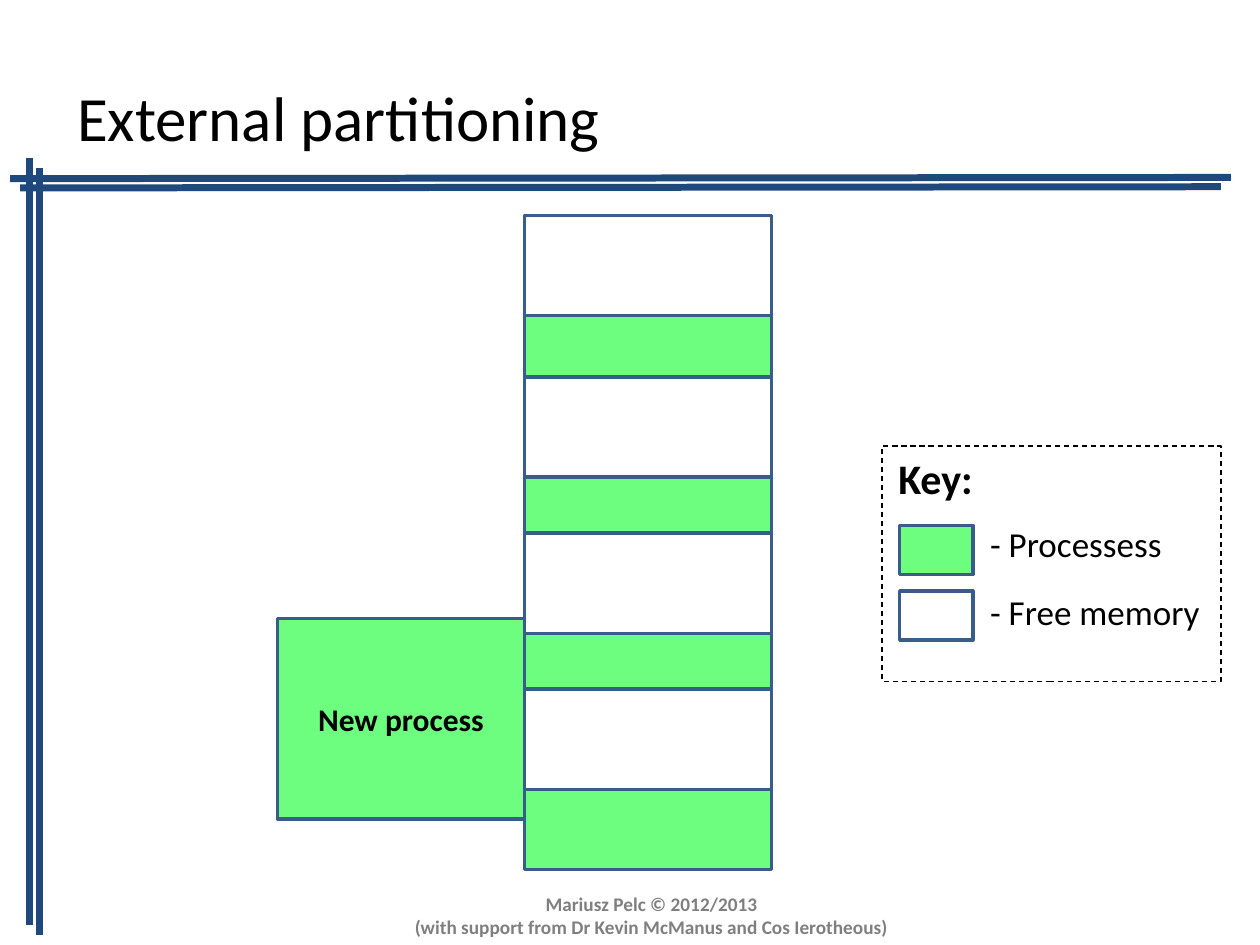
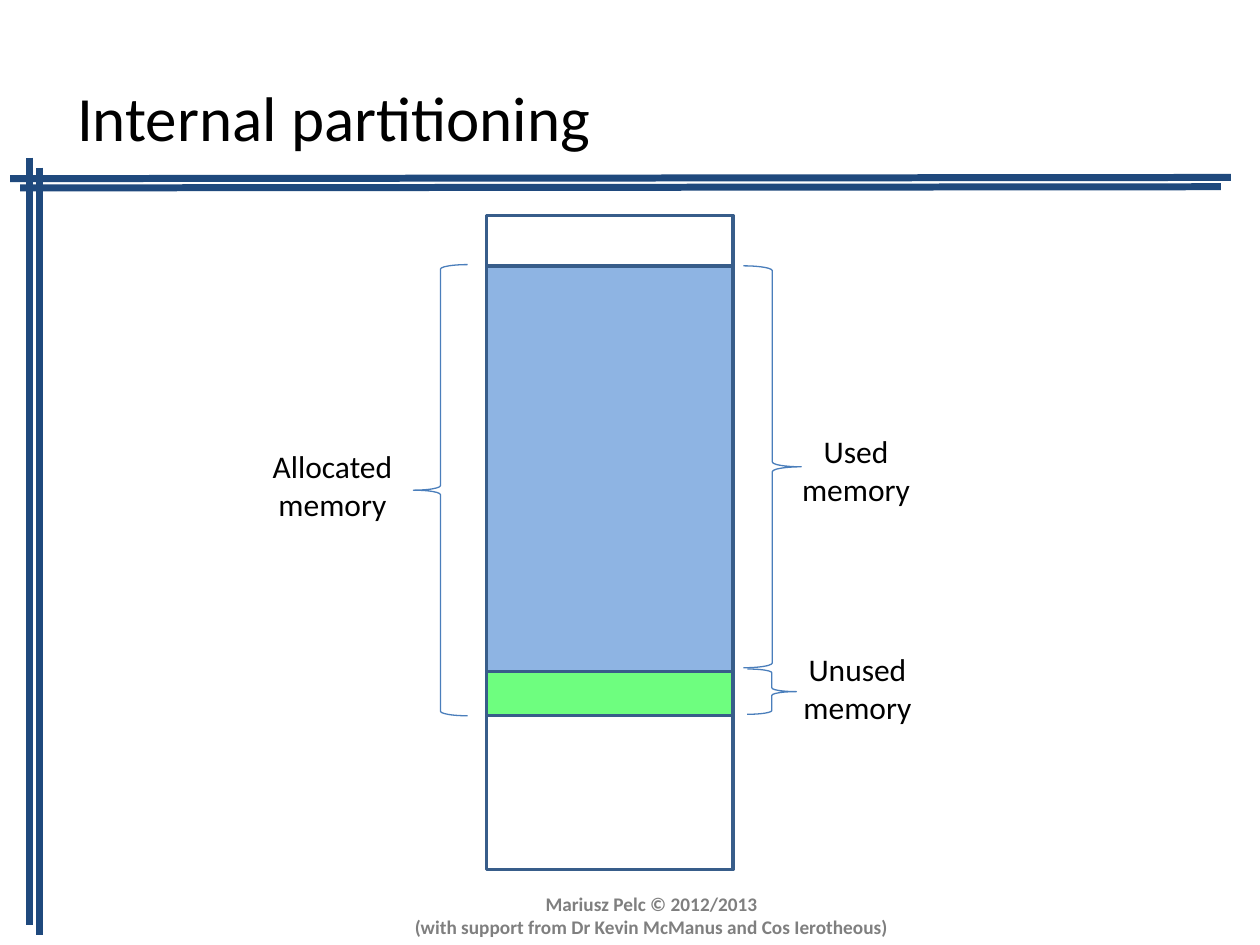
from dataclasses import dataclass

from lxml import etree
from pptx import Presentation
from pptx.dml.color import RGBColor
from pptx.enum.dml import MSO_LINE_DASH_STYLE as Dash
from pptx.enum.shapes import MSO_CONNECTOR as Connector, MSO_SHAPE as Shape
from pptx.enum.text import MSO_ANCHOR as Anchor, PP_ALIGN as Align
from pptx.oxml.ns import qn
from pptx.util import Pt


@dataclass(frozen=True)
class Theme:
    font: str = "Calibri"
    text: str = "000000"
    footer: str = "7F7F7F"
    rule: str = "1F497D"
    outline: str = "385D8A"
    brace: str = "4A7EBB"
    process: str = "6EFE7F"
    free: str = "FFFFFF"
    used: str = "8EB4E3"
    title_size: int = 36
    heading_size: int = 24
    key_size: int = 20
    body_size: int = 18
    footer_size: int = 11
    rule_width: float = 4
    outline_width: float = 2
    thin_width: float = 0.75


THEME = Theme()
COLUMN_TOP, COLUMN_WIDTH, COLUMN_HEIGHT = 123.1, 141.1, 373.7
FOOTER = "Mariusz Pelc © 2012/2013\n(with support from Dr Kevin McManus and Cos Ierotheous)"


def write(frame, text, size=THEME.body_size, color=THEME.text, bold=False,
          align=Align.LEFT, anchor=Anchor.TOP, wrap=False):
    """Fill a text frame, one paragraph per line of text."""
    frame.text = text
    frame.word_wrap = wrap
    frame.vertical_anchor = anchor
    for paragraph in frame.paragraphs:
        paragraph.alignment = align
        font = paragraph.font
        font.name, font.size, font.bold = THEME.font, Pt(size), bold
        font.color.rgb = RGBColor.from_string(color)


class SlideBuilder:
    def __init__(self, presentation, theme):
        self.presentation, self.theme = presentation, theme
        self.slide = None

    def start(self, title):
        """Add a slide with its title, crossed rules and footer."""
        theme = self.theme
        self.slide = self.presentation.slides.add_slide(self.presentation.slide_layouts[6])
        self.text(37, 21.6, 551.5, 90, title, size=theme.title_size,
                  anchor=Anchor.MIDDLE, wrap=True)
        for shift in (0, 5.75):
            self.rule(16.6 + shift, 90 + shift, 16.6 + shift, 528.5 + shift)
        for inset, drop in ((0, 0), (5.75, 5.3)):
            self.rule(5.8 + inset, 102.1 + drop, 703.4 - inset, 101.4 + drop)
        self.text(222.3, 506.2, 300, 33.8, FOOTER, size=theme.footer_size,
                  color=theme.footer, bold=True, align=Align.CENTER)

    def text(self, left, top, width, height, text, **text_format):
        box = self.slide.shapes.add_textbox(Pt(left), Pt(top), Pt(width), Pt(height))
        write(box.text_frame, text, **text_format)

    def rule(self, x1, y1, x2, y2):
        line = self.slide.shapes.add_connector(
            Connector.STRAIGHT, Pt(x1), Pt(y1), Pt(x2), Pt(y2))
        line.line.color.rgb = RGBColor.from_string(self.theme.rule)
        line.line.width = Pt(self.theme.rule_width)
        etree.SubElement(line._element.spPr, qn("a:effectLst"))

    def shape(self, kind, left, top, width, height, fill, line_color, line_width):
        shape = self.slide.shapes.add_shape(kind, Pt(left), Pt(top), Pt(width), Pt(height))
        shape.shadow.inherit = False
        if fill:
            shape.fill.solid()
            shape.fill.fore_color.rgb = RGBColor.from_string(fill)
        else:
            shape.fill.background()
        shape.line.color.rgb = RGBColor.from_string(line_color)
        shape.line.width = Pt(line_width)
        return shape

    def block(self, left, top, width, height, fill):
        return self.shape(Shape.RECTANGLE, left, top, width, height, fill,
                          self.theme.outline, self.theme.outline_width)

    def brace(self, kind, left, top, width, height):
        self.shape(kind, left, top, width, height, None,
                   self.theme.brace, self.theme.thin_width)

    def dashed_frame(self, left, top, width, height):
        frame = self.shape(Shape.RECTANGLE, left, top, width, height, None,
                           self.theme.text, self.theme.thin_width)
        frame.line.dash_style = Dash.DASH


def external_partitioning(builder):
    theme = builder.theme
    builder.start("External partitioning")
    column_left = 299.7
    builder.block(column_left, COLUMN_TOP, COLUMN_WIDTH, COLUMN_HEIGHT, theme.process)
    for free_top in (COLUMN_TOP, 215.3, 304.6, 393.8):
        builder.block(column_left, free_top, COLUMN_WIDTH, 57.3, theme.free)
    new_process = builder.block(column_left - COLUMN_WIDTH, 353.5,
                                COLUMN_WIDTH, 114.5, theme.process)
    write(new_process.text_frame, "New process", bold=True,
          align=Align.CENTER, anchor=Anchor.MIDDLE, wrap=True)

    key_top = 254.9
    key_entries = (
        (300.2, theme.process, 295.2, "- Processess"),
        (337.7, theme.free, 334.1, "- Free memory"),
    )
    builder.text(506.2, key_top, 70, 36, "Key:", size=theme.heading_size, bold=True)
    for swatch_top, fill, label_top, label in key_entries:
        builder.block(514.1, swatch_top, 41.8, 28.1, fill)
        builder.text(558.7, label_top, 139, 31.7, label, size=theme.key_size)
    builder.dashed_frame(504, key_top, 193.7, 134.6)


def internal_partitioning(builder):
    theme = builder.theme
    builder.start("Internal partitioning")
    allocated_top = 151.9
    for top, height, fill in (
        (COLUMN_TOP, COLUMN_HEIGHT, theme.free),
        (allocated_top, 257, theme.process),
        (allocated_top, 231.8, theme.used),
    ):
        builder.block(277.9, top, COLUMN_WIDTH, height, fill)

    braces = (
        (Shape.LEFT_BRACE, 236.2, 151.2, 31, 257.8),
        (Shape.RIGHT_BRACE, 424.8, allocated_top, 33.1, 229.7),
        (Shape.RIGHT_BRACE, 427, 382.3, 28.1, 25.9),
    )
    labels = (
        (190, 252, "Allocated\nmemory"),
        (489.2, 243.4, "Used\nmemory"),
        (490, 367.9, "Unused\nmemory"),
    )
    label_width = 100
    for brace, (center, top, label) in zip(braces, labels):
        builder.brace(*brace)
        builder.text(center - label_width / 2, top, label_width, 50.4, label,
                     align=Align.CENTER)


def main():
    presentation = Presentation()
    presentation.slide_width, presentation.slide_height = Pt(720), Pt(540)
    builder = SlideBuilder(presentation, THEME)
    external_partitioning(builder)
    internal_partitioning(builder)
    presentation.save("out.pptx")


if __name__ == "__main__":
    main()
